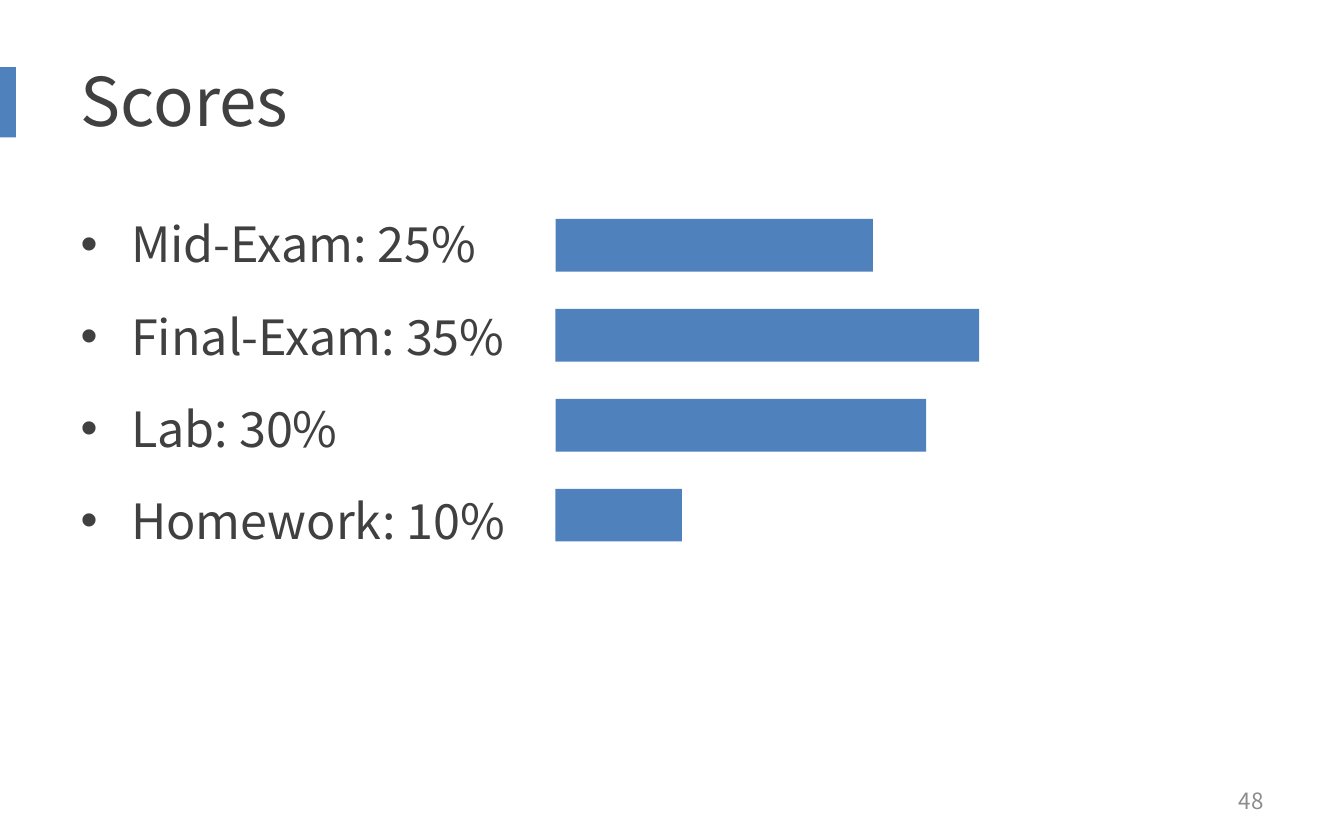
"""Builds the course scores slide with a list of weights and matching bars."""
import pptx
import pptx.dml.color
import pptx.enum.shapes
import pptx.enum.text
import pptx.util

Pt = pptx.util.Pt
ALIGN = pptx.enum.text.PP_ALIGN
ANCHOR = pptx.enum.text.MSO_ANCHOR
BLUE = pptx.dml.color.RGBColor(0x4F, 0x81, 0xBD)
DARK = pptx.dml.color.RGBColor(0x40, 0x40, 0x40)
GRAY = pptx.dml.color.RGBColor(0x8C, 0x8C, 0x8C)
FONT = "Noto Sans CJK SC"

TITLE = "Scores"
PAGE_NUMBER = "48"
SCORES = [
    ("Mid-Exam: 25%", 170),
    ("Final-Exam: 35%", 227),
    ("Lab: 30%", 198.5),
    ("Homework: 10%", 67.8),
]
BAR_LEFT, BAR_TOP, BAR_HEIGHT, BAR_PITCH = 297.6, 117.3, 28.2, 48.2


def place(box, left, top, width, height):
    box.left, box.top = Pt(left), Pt(top)
    box.width, box.height = Pt(width), Pt(height)


def write(box, lines, size, color, align, anchor):
    frame = box.text_frame
    frame.text = "\n".join(lines)
    frame.word_wrap = True
    frame.auto_size = pptx.enum.text.MSO_AUTO_SIZE.NONE
    frame.vertical_anchor = anchor
    for para in frame.paragraphs:
        para.alignment = align
        para.font.name = FONT
        para.font.size = Pt(size)
        para.font.color.rgb = color
    return frame.paragraphs


def add_bar(page, left, top, width, height):
    bar = page.shapes.add_shape(
        pptx.enum.shapes.MSO_SHAPE.RECTANGLE, Pt(left), Pt(top), Pt(width), Pt(height))
    bar.shadow.inherit = False
    bar.fill.solid()
    bar.fill.fore_color.rgb = BLUE
    bar.line.fill.background()


def main():
    deck = pptx.Presentation()
    deck.slide_width, deck.slide_height = Pt(720), Pt(450)
    page = deck.slides.add_slide(deck.slide_layouts[1])

    add_bar(page, 0, 36, 8.5, 37.6)

    title = page.shapes.title
    place(title, 36, 18, 648, 70.6)
    write(title, [TITLE], 36, DARK, ALIGN.LEFT, ANCHOR.MIDDLE)

    body = page.placeholders[1]
    place(body, 36, 105, 648, 297)
    labels = [label for label, width in SCORES]
    for para in write(body, labels, 26, DARK, ALIGN.LEFT, ANCHOR.TOP):
        para.line_spacing = 1.2
        para.space_before = Pt(12)
        properties = para._p.get_or_add_pPr()
        properties.set("marL", str(Pt(27)))
        properties.set("indent", str(Pt(-27)))

    number = page.shapes.add_textbox(Pt(516), Pt(417), Pt(168), Pt(24))
    write(number, [PAGE_NUMBER], 12, GRAY, ALIGN.RIGHT, ANCHOR.MIDDLE)

    for row, (label, width) in enumerate(SCORES):
        add_bar(page, BAR_LEFT, BAR_TOP + row * BAR_PITCH, width, BAR_HEIGHT)

    deck.save("out.pptx")


if __name__ == "__main__":
    main()
